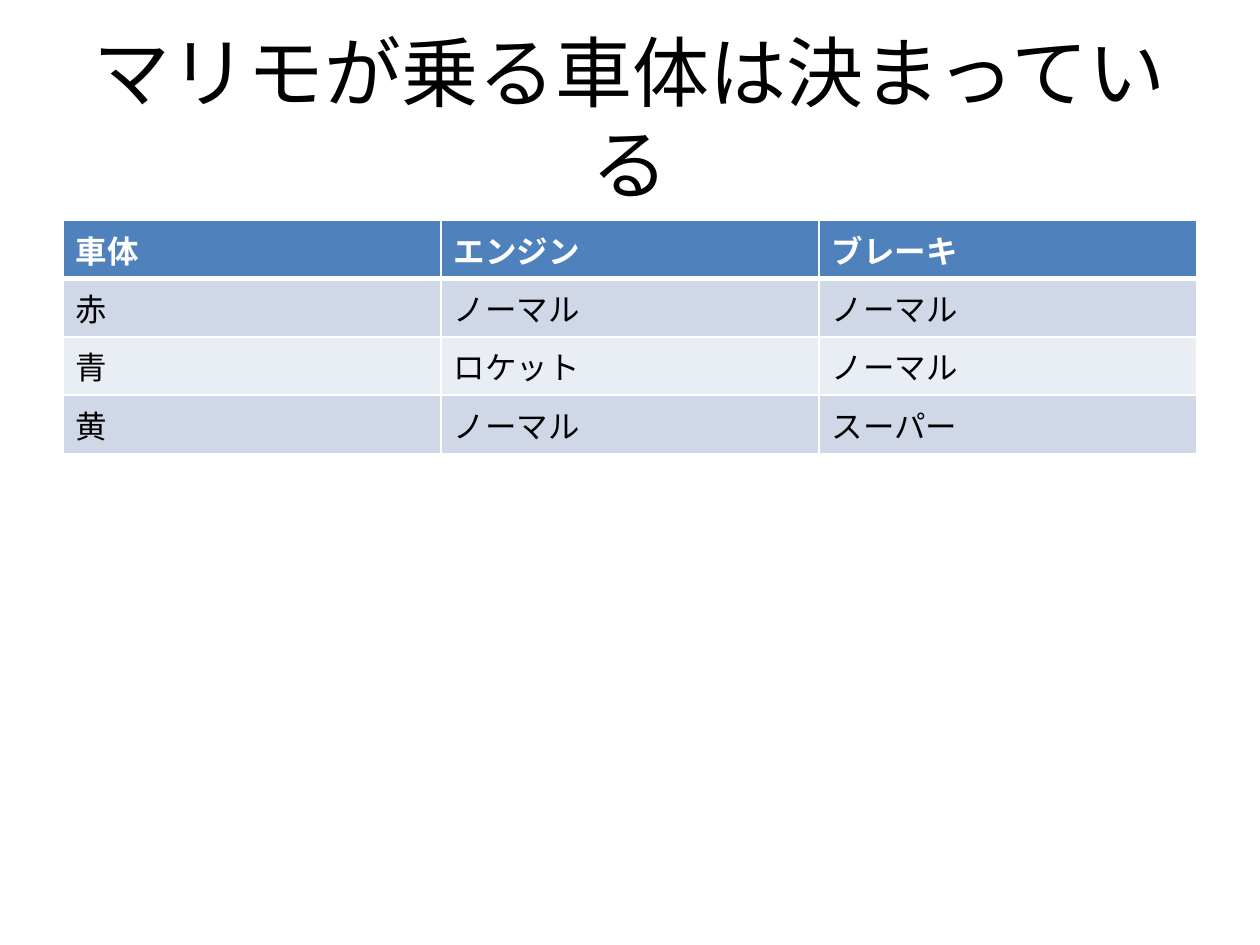
from lxml import etree
from pptx import Presentation
from pptx import util as u
from pptx.dml.color import RGBColor
from pptx.enum import text
from pptx.oxml.ns import qn

WHITE = RGBColor(0xFF, 0xFF, 0xFF)
BLACK = RGBColor(0x00, 0x00, 0x00)
HEADER_BLUE = RGBColor(0x4F, 0x81, 0xBD)
BANDS = [RGBColor(0xE9, 0xED, 0xF4), RGBColor(0xD0, 0xD8, 0xE8)]
FONT = "Calibri"
ROWS = [
    ["車体", "エンジン", "ブレーキ"],
    ["赤", "ノーマル", "ノーマル"],
    ["青", "ロケット", "ノーマル"],
    ["黄", "ノーマル", "スーパー"],
]
MARGIN, COLUMN, ROW = u.Inches(0.5), u.Inches(3), u.Inches(0.41)


def format_text(frame, size, color, bold=False):
    for para in frame.paragraphs:
        for span in para.runs:
            span.font.name = FONT
            span.font.size = u.Pt(size)
            span.font.bold = bold
            span.font.color.rgb = color


def add_border(cell, side, width):
    line = etree.SubElement(cell._tc.get_or_add_tcPr(), qn("a:" + side), w=str(u.Pt(width)))
    fill = etree.SubElement(line, qn("a:solidFill"))
    etree.SubElement(fill, qn("a:srgbClr"), val=str(WHITE))


deck = Presentation()
deck.slide_width, deck.slide_height = u.Inches(10), u.Inches(7.5)
page = deck.slides.add_slide(deck.slide_layouts[5])

title = page.shapes.title
title.left, title.top = MARGIN, u.Inches(0.3)
title.width, title.height = 3 * COLUMN, u.Inches(1.25)
title.text_frame.text = "マリモが乗る車体は決まっている"
title.text_frame.vertical_anchor = text.MSO_ANCHOR.MIDDLE
title.text_frame.paragraphs[0].alignment = text.PP_ALIGN.CENTER
format_text(title.text_frame, 44, BLACK)

table = page.shapes.add_table(
    len(ROWS), len(ROWS[0]), MARGIN, u.Inches(1.75), 3 * COLUMN, len(ROWS) * ROW
).table
for column in table.columns:
    column.width = COLUMN
for row_index, words in enumerate(ROWS):
    header = row_index == 0
    table.rows[row_index].height = ROW
    for column_index, word in enumerate(words):
        cell = table.cell(row_index, column_index)
        for side in ("lnL", "lnR", "lnT", "lnB"):
            thick = (header and side == "lnB") or (row_index == 1 and side == "lnT")
            add_border(cell, side, 3 if thick else 1)
        cell.fill.solid()
        cell.fill.fore_color.rgb = HEADER_BLUE if header else BANDS[row_index % 2]
        cell.text_frame.text = word
        format_text(cell.text_frame, 18, WHITE if header else BLACK, header)

deck.save("out.pptx")
